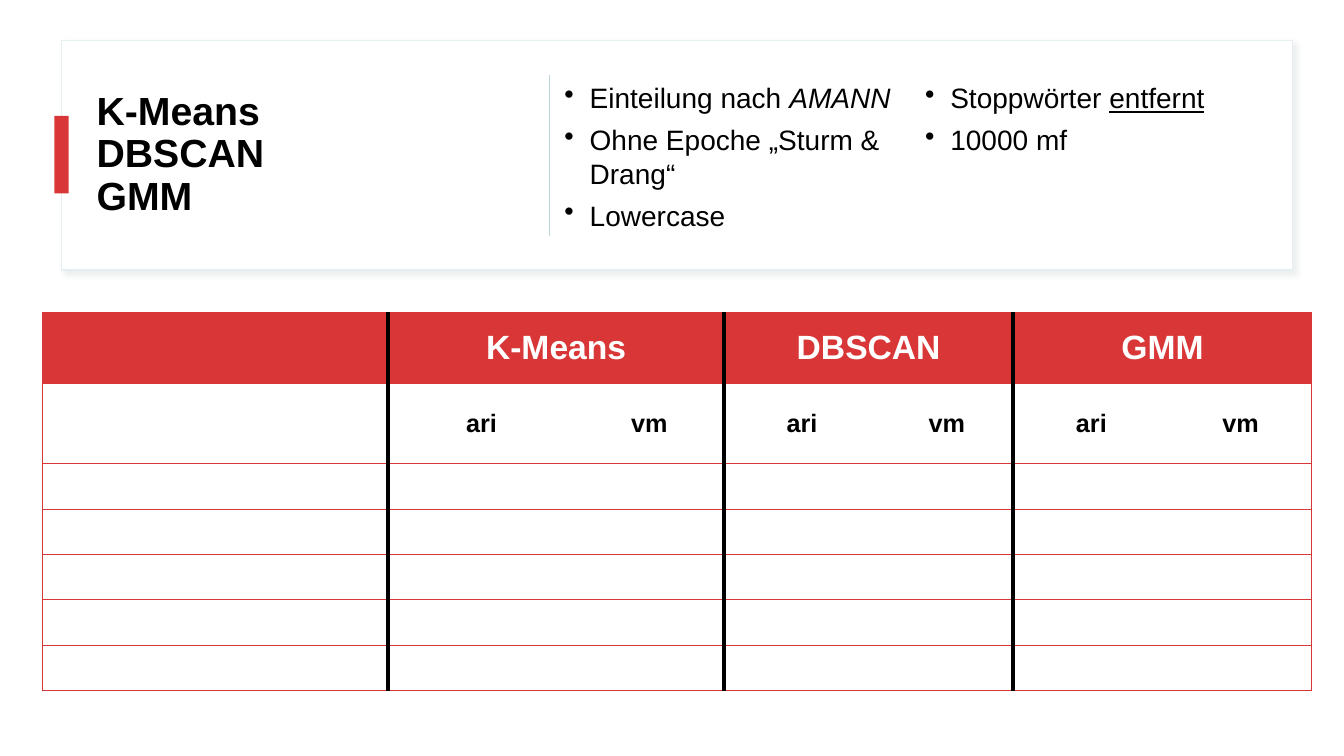
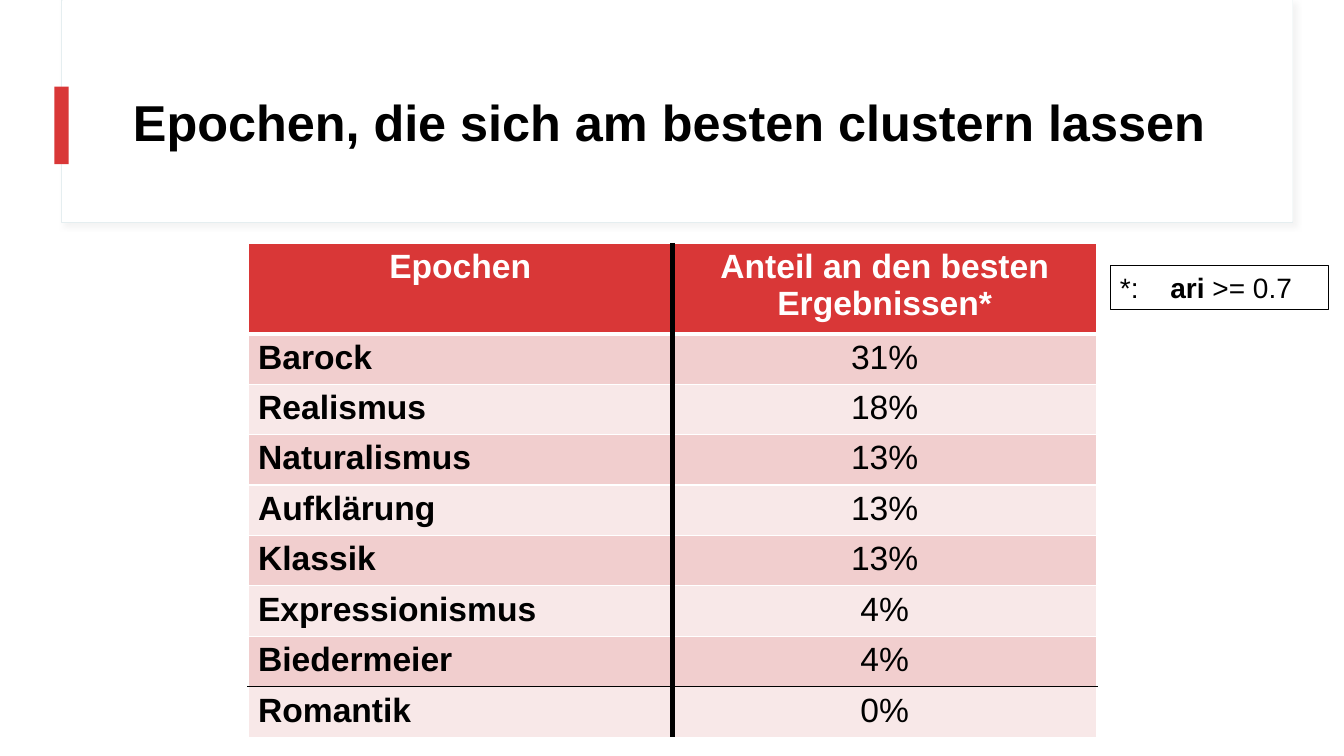
from itertools import accumulate

from lxml import etree
from pptx import Presentation
from pptx.dml.color import RGBColor
from pptx.enum.shapes import MSO_CONNECTOR, MSO_SHAPE
from pptx.enum.text import MSO_ANCHOR, PP_ALIGN
from pptx.oxml.ns import qn
from pptx.util import Pt

PX = 9144
RECT = MSO_SHAPE.RECTANGLE
STRAIGHT = MSO_CONNECTOR.STRAIGHT
TOP, MIDDLE = MSO_ANCHOR.TOP, MSO_ANCHOR.MIDDLE
LEFT, CENTER = PP_ALIGN.LEFT, PP_ALIGN.CENTER

FONT = "Arial"
RED, BLACK, WHITE = "D93737", "000000", "FFFFFF"
CARD_EDGE, DIVIDER = "E5EEF0", "BDD5DB"
BANDS = ("F1CECE", "F8E8E8")
PLAIN, BOLD, ITALIC, UNDERLINE = "", "bold", "italic", "underline"


def rgb(value):
    return RGBColor.from_string(value)


def add_color(parent, value):
    return etree.SubElement(parent, qn("a:srgbClr"), val=value)


class Deck:
    def __init__(self, width, height):
        self.prs = Presentation()
        self.prs.slide_width, self.prs.slide_height = width * PX, height * PX
        self.slide = None

    def new_slide(self):
        self.slide = self.prs.slides.add_slide(self.prs.slide_layouts[6])

    def box(self, left, top, width, height, fill=None, line=None, weight=0.75):
        shape = self.slide.shapes.add_shape(RECT, left * PX, top * PX, width * PX, height * PX)
        shape.shadow.inherit = False
        if fill:
            shape.fill.solid()
            shape.fill.fore_color.rgb = rgb(fill)
        else:
            shape.fill.background()
        if line:
            shape.line.color.rgb = rgb(line)
            shape.line.width = Pt(weight)
        else:
            shape.line.fill.background()
        return shape

    def card(self, top, height, shadow, weight):
        card = self.box(61, top, 1221, height, WHITE, CARD_EDGE, weight)
        effects = card._element.spPr.find(qn("a:effectLst"))
        outer = etree.SubElement(effects, qn("a:outerShdw"), blurRad=str(Pt(4)),
                                 dist=str(Pt(3)), dir=str(45 * 60000), rotWithShape="0")
        etree.SubElement(add_color(outer, shadow), qn("a:alpha"), val="30000")

    def line(self, x, top, bottom, color=BLACK, weight=3):
        line = self.slide.shapes.add_connector(STRAIGHT, x * PX, top * PX, x * PX, bottom * PX)
        line.line.color.rgb = rgb(color)
        line.line.width = Pt(weight)
        etree.SubElement(line._element.spPr, qn("a:effectLst"))

    def style(self, paragraph, size, color=BLACK, bold=None, align=LEFT):
        paragraph.alignment = align
        font = paragraph.font
        font.name, font.size, font.bold = FONT, Pt(size), bold
        font.color.rgb = rgb(color)

    def runs(self, paragraph, parts):
        for text, emphasis in parts:
            run = paragraph.add_run()
            run.text = text
            if emphasis:
                setattr(run.font, emphasis, True)

    def indent(self, paragraph, margin, hanging):
        properties = paragraph._p.get_or_add_pPr()
        properties.set("marL", str(margin * PX))
        properties.set("indent", str(-hanging * PX))
        return properties

    def text_frame(self, left, top, width, height):
        frame = self.slide.shapes.add_textbox(left * PX, top * PX, width * PX, height * PX).text_frame
        frame.word_wrap = True
        frame.vertical_anchor = MIDDLE
        return frame

    def heading(self, text, left, top, width, height, size):
        self.box(54, top + (height - 77) // 2, 14, 77, RED)
        frame = self.text_frame(left, top, width, height)
        frame.text = text
        for paragraph in frame.paragraphs:
            self.style(paragraph, size, bold=True)
            paragraph.line_spacing = 0.9

    def bullets(self, items, left, top, width, height, columns):
        frame = self.text_frame(left, top, width, height)
        frame._txBody.bodyPr.set("numCol", str(columns))
        for index, parts in enumerate(items):
            paragraph = frame.add_paragraph() if index else frame.paragraphs[0]
            self.runs(paragraph, parts)
            self.style(paragraph, 20)
            paragraph.space_after = Pt(6)
            properties = self.indent(paragraph, 50, 25)
            bullet = etree.Element(qn("a:buChar"), char="•")
            properties.insert(list(properties).index(properties.find(qn("a:defRPr"))), bullet)

    def note(self, parts, left, top, width, height):
        frame = self.box(left, top, width, height, line=BLACK).text_frame
        frame.vertical_anchor = TOP
        paragraph = frame.paragraphs[0]
        self.runs(paragraph, parts)
        self.style(paragraph, 20)
        self.indent(paragraph, 50, 50)

    def table(self, left, top, columns, rows):
        table = self.slide.shapes.add_table(len(rows), len(columns), left * PX, top * PX,
                                            sum(columns) * PX, sum(rows) * PX).table
        table.first_row = table.horz_banding = False
        for column, width in zip(table.columns, columns):
            column.width = width * PX
        for row, height in zip(table.rows, rows):
            row.height = height * PX
        return table

    def cell(self, cell, text, size, color, bold, align, anchor, fill, borders):
        cell.text = text
        cell.vertical_anchor = anchor
        for paragraph in cell.text_frame.paragraphs:
            self.style(paragraph, size, color, bold, align)
        properties = cell._tc.get_or_add_tcPr()
        for side, border in zip("LRTB", borders):
            edge = etree.SubElement(properties, qn(f"a:ln{side}"))
            if border:
                edge.set("w", str(Pt(border[1])))
                add_color(etree.SubElement(edge, qn("a:solidFill")), border[0])
            else:
                etree.SubElement(edge, qn("a:noFill"))
        if fill:
            cell.fill.solid()
            cell.fill.fore_color.rgb = rgb(fill)
        else:
            cell.fill.background()


def methods_slide(deck):
    deck.new_slide()
    deck.card(40, 228, "BCCACA", 1)
    methods = ["K-Means", "DBSCAN", "GMM"]
    deck.heading("\n".join(methods), 86, 64, 438, 180, 28)
    deck.line(545, 74, 234, DIVIDER, 0.75)
    deck.bullets([
        [("Einteilung nach ", PLAIN), ("AMANN", ITALIC)],
        [("Ohne Epoche „Sturm & Drang“", PLAIN)],
        [("Lowercase", PLAIN)],
        [("Stoppwörter ", PLAIN), ("entfernt", UNDERLINE)],
        [("10000 mf", PLAIN)],
    ], 525, 64, 735, 182, 2)

    left, top = 42, 310
    columns = [343, 185, 148, 155, 132, 155, 141]
    rows = [70, 80] + [45] * 5
    scores = deck.table(left, top, columns, rows)
    header = [""] + [text for method in methods for text in (method, "")]
    measures = [""] + ["ari", "vm"] * len(methods)
    blank = [""] * len(columns)
    rule = (RED, 0.5)
    last = len(columns) - 1
    for r, texts in enumerate([header, measures] + [blank] * 5):
        size, color, fill = (24, WHITE, RED) if r == 0 else (18, BLACK, None)
        for c, text in enumerate(texts):
            borders = (rule if c == 0 else None, rule if c == last else None, rule, rule)
            deck.cell(scores.cell(r, c), text, size, color, True, CENTER, MIDDLE, fill, borders)
    edges = list(accumulate(columns, initial=left))
    for c in range(1, len(columns), 2):
        scores.cell(0, c).merge(scores.cell(0, c + 1))
        deck.line(edges[c], top, top + sum(rows) + 1)


def epochs_slide(deck):
    deck.new_slide()
    deck.card(0, 221, "D9D9D9", 0.75)
    deck.box(62, 0, 1220, 220, WHITE)
    deck.heading("Epochen, die sich am besten clustern lassen", 122, 60, 1112, 129, 36)

    epochs = [
        ("Epochen", "Anteil an den besten\nErgebnissen*"),
        ("Barock", "31%"),
        ("Realismus", "18%"),
        ("Naturalismus", "13%"),
        ("Aufklärung", "13%"),
        ("Klassik", "13%"),
        ("Expressionismus", "4%"),
        ("Biedermeier", "4%"),
        ("Romantik", "0%"),
    ]
    thin = (WHITE, 1)
    rules = [thin, (WHITE, 3)] + [thin] * 6 + [(BLACK, 1), thin]
    shares = deck.table(246, 241, [421, 421], [83] + [47] * (len(epochs) - 1))
    for r, texts in enumerate(epochs):
        head = r == 0
        color, fill = (WHITE, RED) if head else (BLACK, BANDS[(r - 1) % 2])
        for c, text in enumerate(texts):
            deck.cell(shares.cell(r, c), text, 24, color, head or c == 0,
                      CENTER if head or c else LEFT, TOP, fill,
                      (thin, thin, rules[r], rules[r + 1]))
    deck.line(667, 241, 731)
    deck.note([("*:\t", PLAIN), ("ari", BOLD), (" >= 0.7", PLAIN)], 1101, 263, 217, 44)


def main():
    deck = Deck(1333, 750)
    methods_slide(deck)
    epochs_slide(deck)
    deck.prs.save("out.pptx")


if __name__ == "__main__":
    main()
